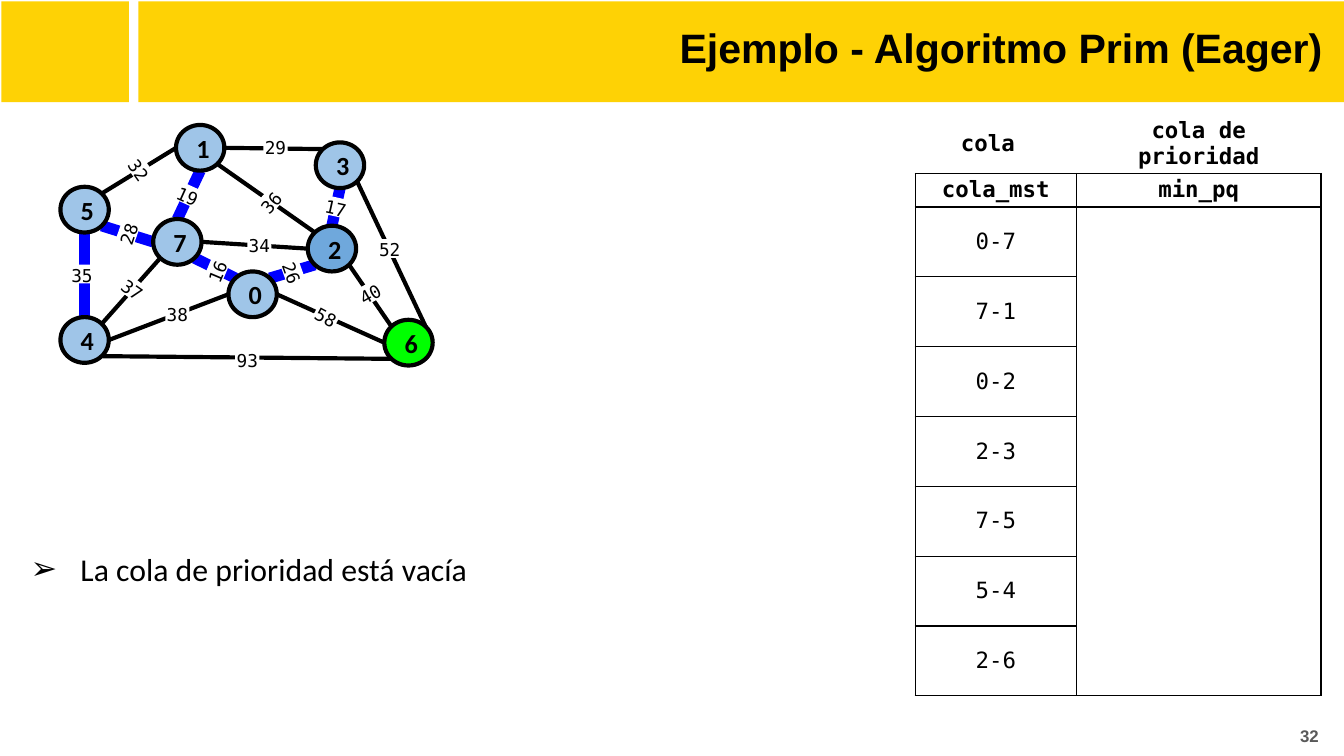
from dataclasses import dataclass
from math import cos, radians, sin

from lxml import etree
from pptx import Presentation
from pptx.dml.color import RGBColor
from pptx.enum.shapes import MSO_CONNECTOR, MSO_SHAPE
from pptx.enum.text import MSO_ANCHOR, PP_ALIGN
from pptx.oxml.ns import qn
from pptx.util import Inches, Pt

RECT, OVAL, STRAIGHT = MSO_SHAPE.RECTANGLE, MSO_SHAPE.OVAL, MSO_CONNECTOR.STRAIGHT
LEFT, CENTER, RIGHT = PP_ALIGN.LEFT, PP_ALIGN.CENTER, PP_ALIGN.RIGHT
TOP, MIDDLE = MSO_ANCHOR.TOP, MSO_ANCHOR.MIDDLE


@dataclass(frozen=True)
class Style:
    font: str
    size: float
    color: str = "000000"
    bold: bool = False


@dataclass(frozen=True)
class Theme:
    black: str = "000000"
    white: str = "FFFFFF"
    band: str = "FED205"
    visited: str = "9FC5E8"
    source: str = "6FA8DC"
    current: str = "00FF00"
    tree: str = "0000FF"
    edge_width: float = 2.25
    tree_width: float = 6
    border_width: float = 0.75
    title: Style = Style("Arial", 22, bold=True)
    page: Style = Style("Arial", 9, "595959", True)
    node: Style = Style("Calibri", 14, bold=True)
    weight: Style = Style("DejaVu Sans Mono", 9.5)
    header: Style = Style("DejaVu Sans Mono", 12, bold=True)
    entry: Style = Style("DejaVu Sans Mono", 12)
    note: Style = Style("Calibri", 17)


@dataclass(frozen=True)
class Node:
    x: float
    y: float
    fill: str


@dataclass(frozen=True)
class Edge:
    """Joins two nodes at compass points; the weight label sits at x, y."""
    start: str
    start_side: str
    end: str
    end_side: str
    weight: str
    x: float
    y: float
    turn: float = 0
    in_tree: bool = False


THEME = Theme()
NODE_W, NODE_H = 0.36, 0.34
WEIGHT_W, WEIGHT_H = 0.18, 0.14
SIDES = {side: radians(45 * i) for i, side in enumerate(["E", "SE", "S", "SW", "W", "NW", "N", "NE"])}

NODES = {
    "0": Node(1.7, 2.02, THEME.visited),
    "1": Node(1.31, 0.93, THEME.visited),
    "2": Node(2.29, 1.68, THEME.source),
    "3": Node(2.35, 1.06, THEME.visited),
    "4": Node(0.45, 2.36, THEME.visited),
    "5": Node(0.45, 1.39, THEME.visited),
    "6": Node(2.86, 2.38, THEME.current),
    "7": Node(1.14, 1.63, THEME.visited),
}
EDGES = [
    Edge("4", "N", "5", "S", "35", 0.52, 1.97, in_tree=True),
    Edge("7", "N", "1", "S", "19", 1.31, 1.38, 24.4, True),
    Edge("7", "W", "5", "SE", "28", 0.86, 1.67, 289.1, True),
    Edge("2", "N", "3", "S", "17", 2.41, 1.47, 12.6, True),
    Edge("7", "SE", "0", "NW", "16", 1.52, 1.95, 293, True),
    Edge("0", "NE", "2", "SW", "26", 2.09, 1.96, 70.4, True),
    Edge("4", "SE", "6", "SW", "93", 1.75, 2.6),
    Edge("1", "W", "5", "NE", "32", 0.95, 1.19, 54.8),
    Edge("1", "E", "3", "NW", "29", 1.96, 1.02),
    Edge("7", "E", "2", "W", "34", 1.84, 1.75),
    Edge("2", "NW", "1", "SE", "36", 1.92, 1.43, 311.3),
    Edge("4", "E", "0", "W", "38", 1.23, 2.26),
    Edge("6", "W", "0", "E", "58", 2.34, 2.28, 28.2),
    Edge("6", "NW", "2", "SE", "40", 2.66, 2.11, 330.8),
    Edge("6", "NE", "3", "SE", "52", 2.81, 1.78),
    Edge("4", "NE", "7", "SW", "37", 0.9, 2.08, 35.1),
]
MST_QUEUE = ["0-7", "7-1", "0-2", "2-3", "7-5", "5-4", "2-6"]


def write(frame, text: str, style: Style, align=CENTER, anchor=TOP, inset: float = 0.1):
    margin = Inches(inset)
    layout = {"word_wrap": True, "vertical_anchor": anchor, "margin_left": margin,
              "margin_right": margin, "margin_top": margin, "margin_bottom": margin}
    for name, value in layout.items():
        setattr(frame, name, value)
    return write_paragraph(frame.paragraphs[0], text, style, align)


def write_paragraph(paragraph, text: str, style: Style, align=CENTER):
    paragraph.alignment = align
    run = paragraph.add_run()
    run.text = text
    for name, value in {"name": style.font, "size": Pt(style.size), "bold": style.bold}.items():
        setattr(run.font, name, value)
    run.font.color.rgb = RGBColor.from_string(style.color)
    return paragraph


def add_box(slide, kind, x: float, y: float, w: float, h: float, fill: str, outline: bool = False):
    box = slide.shapes.add_shape(kind, Inches(x), Inches(y), Inches(w), Inches(h))
    box.shadow.inherit = False
    box.fill.solid()
    box.fill.fore_color.rgb = RGBColor.from_string(fill)
    if outline:
        box.line.color.rgb = RGBColor.from_string(THEME.black)
        box.line.width = Pt(THEME.edge_width)
    else:
        box.line.fill.background()
    return box


def add_text(slide, x: float, y: float, w: float, h: float, text: str, style: Style, align, anchor=TOP):
    box = slide.shapes.add_textbox(Inches(x), Inches(y), Inches(w), Inches(h))
    return write(box.text_frame, text, style, align, anchor)


def rim_point(node: Node, side: str) -> tuple:
    angle = SIDES[side]
    return (Inches(node.x + NODE_W / 2 * (1 + cos(angle))),
            Inches(node.y + NODE_H / 2 * (1 + sin(angle))))


def add_edge(slide, edge: Edge) -> None:
    start = rim_point(NODES[edge.start], edge.start_side)
    end = rim_point(NODES[edge.end], edge.end_side)
    line = slide.shapes.add_connector(STRAIGHT, *start, *end)
    line.line.color.rgb = RGBColor.from_string(THEME.tree if edge.in_tree else THEME.black)
    line.line.width = Pt(THEME.tree_width if edge.in_tree else THEME.edge_width)
    etree.SubElement(line._element.spPr, qn("a:effectLst"))


def set_borders(cell, visible: str) -> None:
    properties = cell._tc.get_or_add_tcPr()
    for index, side in enumerate("LRTB"):
        border = etree.Element(qn(f"a:ln{side}"), w=str(Pt(THEME.border_width)))
        if side in visible:
            fill = etree.SubElement(border, qn("a:solidFill"))
            etree.SubElement(fill, qn("a:srgbClr"), val=THEME.black)
        else:
            etree.SubElement(border, qn("a:noFill"))
        properties.insert(index, border)


def add_queues(slide) -> None:
    widths = [0.46, 0.74, 0.97, 0.85]
    heights = [0.43, 0.25] + [0.52] * len(MST_QUEUE)
    rows = [("cola", "cola de prioridad"), ("cola_mst", "min_pq")] + [(pair, "") for pair in MST_QUEUE]
    table = slide.shapes.add_table(len(rows), len(widths), Inches(6.81), Inches(0.85),
                                   Inches(sum(widths)), Inches(sum(heights))).table
    table.first_row = table.horz_banding = False
    for column, width in zip(table.columns, widths):
        column.width = Inches(width)
    for r, (row, height) in enumerate(zip(table.rows, heights)):
        row.height = Inches(height)
        for cell in row.cells:
            cell.fill.background()
            set_borders(cell, "LRTB" if r else "B")
            margins = {"margin_left": 0.06, "margin_right": 0.06, "margin_top": 0.02, "margin_bottom": 0.02}
            for name, value in margins.items():
                setattr(cell, name, Inches(value))
            cell.vertical_anchor = MIDDLE
    for r, texts in enumerate(rows):
        for c, text in zip((0, 2), texts):
            cell = table.cell(r, c)
            if text:
                cell.merge(table.cell(r, c + 1))
                write_paragraph(cell.text_frame.paragraphs[0], text, THEME.header if r < 2 else THEME.entry)
    table.cell(2, 2).merge(table.cell(len(rows) - 1, 3))
    # The first heading is indented rather than centred
    heading = table.cell(0, 0).text_frame.paragraphs[0]
    heading.alignment = LEFT
    heading._p.get_or_add_pPr().set("marL", str(Inches(0.28)))


def add_note(slide, text: str) -> None:
    note = add_text(slide, 0, 3.95, 6.82, 0.49, text, THEME.note, LEFT)
    note.line_spacing, note.space_after = 1.15, Pt(2)
    properties = note._p.get_or_add_pPr()
    properties.set("marL", str(Inches(0.5)))
    properties.set("indent", str(Inches(-0.37)))
    etree.SubElement(properties, qn("a:buFont"), typeface=THEME.note.font)
    etree.SubElement(properties, qn("a:buChar"), char="➢")


def main() -> None:
    deck = Presentation()
    deck.slide_width = Inches(10)
    deck.slide_height = deck.slide_width * 9 // 16
    slide = deck.slides.add_slide(deck.slide_layouts[6])

    # Title band and page number
    for x, width in ((1.03, 8.97), (0.01, 0.95)):
        add_box(slide, RECT, x, 0.01, width, 0.75, THEME.band)
    add_text(slide, 1.08, 0.07, 8.86, 0.63, "Ejemplo - Algoritmo Prim (Eager)", THEME.title, RIGHT)
    add_text(slide, 9.47, 5.26, 0.44, 0.43, "32", THEME.page, RIGHT, MIDDLE)

    # Graph: edges, then nodes, then weights
    for edge in EDGES:
        add_edge(slide, edge)
    for name, node in NODES.items():
        circle = add_box(slide, OVAL, node.x, node.y, NODE_W, NODE_H, node.fill, outline=True)
        write(circle.text_frame, name, THEME.node, anchor=MIDDLE)
    for edge in EDGES:
        label = add_box(slide, RECT, edge.x, edge.y, WEIGHT_W, WEIGHT_H, THEME.white)
        label.rotation = edge.turn
        write(label.text_frame, edge.weight, THEME.weight, inset=0)

    # Queues and remark
    add_queues(slide)
    add_note(slide, "La cola de prioridad está vacía")
    deck.save("out.pptx")


if __name__ == "__main__":
    main()
